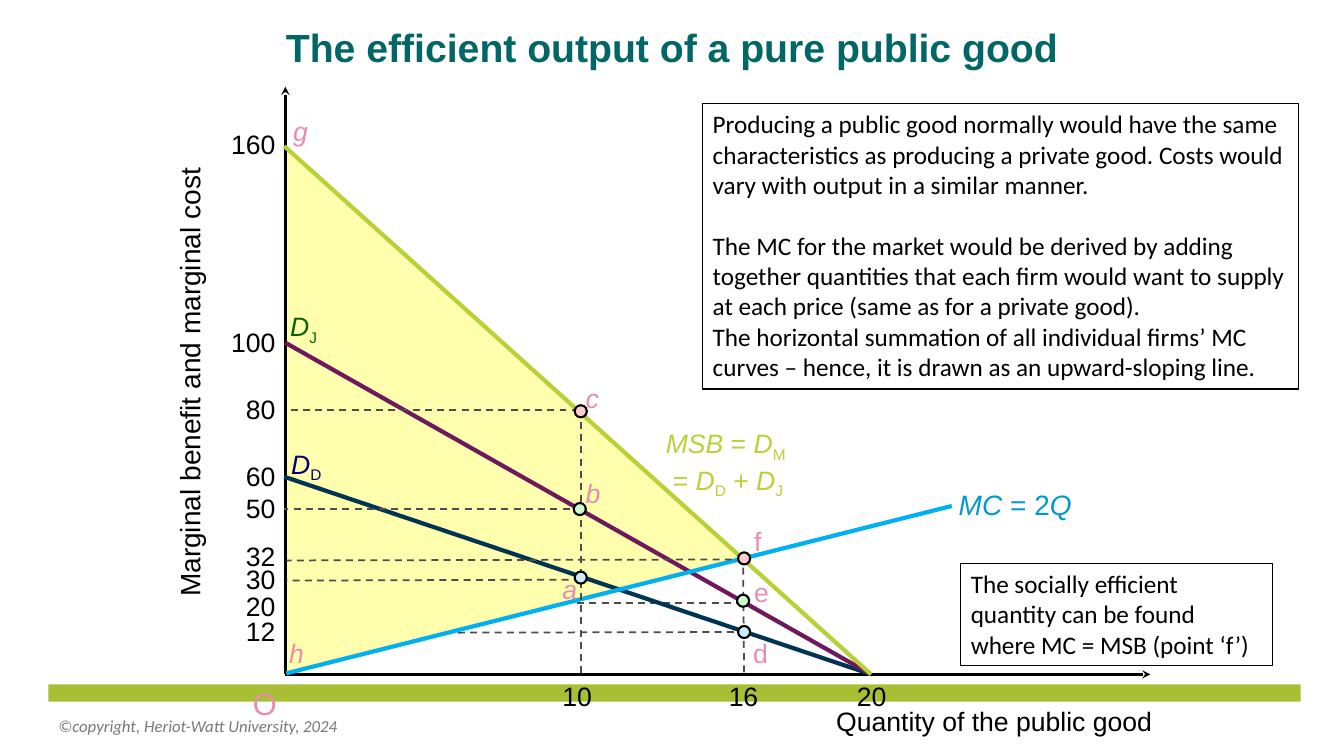
from lxml import etree
from pptx import Presentation
from pptx.dml.color import RGBColor
from pptx.enum.dml import MSO_LINE
from pptx.enum.shapes import MSO_CONNECTOR, MSO_SHAPE
from pptx.enum.text import MSO_ANCHOR, PP_ALIGN
from pptx.oxml.ns import qn
from pptx.util import Inches, Pt

STRAIGHT = MSO_CONNECTOR.STRAIGHT
RECTANGLE = MSO_SHAPE.RECTANGLE
OVAL = MSO_SHAPE.OVAL
DASH = MSO_LINE.DASH
LEFT, CENTER, RIGHT = PP_ALIGN.LEFT, PP_ALIGN.CENTER, PP_ALIGN.RIGHT
TOP, MIDDLE = MSO_ANCHOR.TOP, MSO_ANCHOR.MIDDLE

COLORS = {
    "band": "A8BF33", "footer": "797979", "title": "006666", "black": "000000",
    "white": "FFFFFF", "surplus": "FFFFAD", "guide": "4D4D4D", "point": "E88EAD",
    "msb": "B8D137", "demand_d": "003454", "demand_j": "6F185E", "cost": "00B0F0",
    "cost_label": "009AD0", "d_label": "000073", "j_label": "006600",
    "pink": "FFCCCC", "green": "CCFFCC", "blue": "CCECFF",
}
AXIS_X, AXIS_Y = 2.83, 6.69
DOT = 0.12
LABEL_HEIGHT = 0.42


def color(name):
    return RGBColor.from_string(COLORS[name])


def style_font(font, size, tint, face="Arial"):
    font.size = Pt(size)
    font.name = face
    font.color.rgb = color(tint)


def add_line(page, start, end, tint, width, dash=None, arrow=False):
    line = page.shapes.add_connector(STRAIGHT, *map(Inches, start + end))
    line.line.color.rgb = color(tint)
    line.line.width = Pt(width)
    if dash:
        line.line.dash_style = dash
    if arrow:
        etree.SubElement(line.line._get_or_add_ln(), qn("a:tailEnd"), type="stealth")
    etree.SubElement(line._element.spPr, qn("a:effectLst"))


def add_guides(page, guides):
    for start, end in guides:
        add_line(page, start, end, "guide", 1.25, DASH)


def add_block(page, kind, place, fill, outline=None, width=0.75):
    block = page.shapes.add_shape(kind, *map(Inches, place))
    block.shadow.inherit = False
    block.fill.solid()
    block.fill.fore_color.rgb = color(fill)
    if outline:
        block.line.color.rgb = color(outline)
        block.line.width = Pt(width)
    else:
        block.line.fill.background()
    return block


def add_area(page, corners, fill):
    builder = page.shapes.build_freeform(*map(Inches, corners[0]), scale=1.0)
    builder.add_line_segments([tuple(map(Inches, corner)) for corner in corners[1:]])
    area = builder.convert_to_shape()
    area.shadow.inherit = False
    area.fill.solid()
    area.fill.fore_color.rgb = color(fill)
    area.line.fill.background()


def add_text(page, place, pieces, tint, size=19, align=LEFT, wrap=False,
             anchor=TOP, face="Arial"):
    box = page.shapes.add_textbox(*map(Inches, place))
    box.text_frame.word_wrap = wrap
    box.text_frame.vertical_anchor = anchor
    para = box.text_frame.paragraphs[0]
    para.alignment = align
    for text, look in pieces:
        if text == "\n":
            para.add_line_break()
            continue
        span = para.add_run()
        span.text = text
        style_font(span.font, size, tint, face)
        span.font.italic = look == "italic"
        span.font.bold = look == "bold"
        if look == "sub":
            span._r.get_or_add_rPr().set("baseline", "-25000")
    return box


def add_title(page, text):
    box = add_text(page, (0, 0, 13.33, 0.92), [(text, "bold")], "title", 28,
                   CENTER, True, MIDDLE)
    fill = box.text_frame.paragraphs[0].runs[0]._r.rPr.find(qn("a:solidFill"))
    effects = etree.Element(qn("a:effectLst"))
    shadow = etree.SubElement(effects, qn("a:outerShdw"), dist="17961", dir="2700000")
    etree.SubElement(shadow, qn("a:srgbClr"), val=COLORS["black"])
    fill.addnext(effects)


def add_note(page, place, paragraphs):
    note = add_block(page, RECTANGLE, place, "white", "black")
    frame = note.text_frame
    frame.word_wrap = True
    frame.vertical_anchor = TOP
    frame.text = "\n".join(text for text, _ in paragraphs)
    for para, (_, gap) in zip(frame.paragraphs, paragraphs):
        para.alignment = LEFT
        para.space_before = Pt(gap)
        style_font(para.runs[0].font, 18, "black", "Calibri")


def add_ticks(page):
    for text, top in (("160", 1.22), ("100", 3.18), ("80", 3.85), ("60", 4.51),
                      ("50", 4.83), ("32", 5.31), ("30", 5.54), ("20", 5.8),
                      ("12", 6.05)):
        width = 0.64 if len(text) == 3 else 0.5
        add_text(page, (AXIS_X - width, top, width, LABEL_HEIGHT),
                 [(text, "plain")], "black", align=RIGHT)
    for text, left in (("10", 5.48), ("16", 7.13), ("20", 8.4)):
        add_text(page, (left, 6.7, 0.5, LABEL_HEIGHT), [(text, "plain")], "black")


def add_points(page):
    for x, y, fill in ((5.76, 4.08, "pink"), (5.75, 5.05, "green"),
                       (5.76, 5.73, "blue"), (7.38, 5.54, "pink"),
                       (7.37, 5.96, "green"), (7.38, 6.27, "blue")):
        add_block(page, OVAL, (x - DOT / 2, y - DOT / 2, DOT, DOT), fill, "black", 1.5)
    for text, left, top, look in (
            ("a", 5.48, 5.63, "italic"), ("b", 5.71, 4.68, "italic"),
            ("c", 5.71, 3.74, "italic"), ("d", 7.37, 6.27, "plain"),
            ("e", 7.38, 5.66, "plain"), ("f", 7.38, 5.16, "plain"),
            ("g", 2.81, 1.09, "italic"), ("h", 2.77, 6.27, "italic")):
        add_text(page, (left, top, 0.35, LABEL_HEIGHT), [(text, look)], "point")
    add_text(page, (2.41, 6.74, 0.44, 0.47), [("O", "plain")], "point", 22)


def add_curve_labels(page):
    demand_d = [("D", "italic"), ("D", "sub")]
    demand_j = [("D", "italic"), ("J", "sub")]
    add_text(page, (2.79, 4.39, 0.52, LABEL_HEIGHT), demand_d, "d_label")
    add_text(page, (2.78, 3.03, 0.48, LABEL_HEIGHT), demand_j, "j_label")
    add_text(page, (6.47, 4.19, 1.5, 0.74),
             [("MSB", "italic"), (" = ", "plain"), ("D", "italic"), ("M ", "sub"),
              ("\n", "plain"), ("= ", "plain"), *demand_d, (" + ", "plain"), *demand_j],
             "msb", align=CENTER)
    add_text(page, (9.41, 4.79, 1.32, 0.43),
             [("MC ", "italic"), ("= 2", "plain"), ("Q", "italic")], "cost_label", 20)


def add_diagram(page):
    add_guides(page, [((7.4, 6.27), (2.87, 6.28)), ((7.37, 5.98), (2.85, 5.98))])
    add_area(page, [(AXIS_X, 1.48), (7.41, 5.56), (2.85, 6.67)], "surplus")
    add_line(page, (AXIS_X, AXIS_Y), (AXIS_X, 0.86), "black", 2, arrow=True)
    add_line(page, (AXIS_X, AXIS_Y), (11.41, AXIS_Y), "black", 2, arrow=True)
    for start, end, tint in (((2.82, 4.73), (8.64, AXIS_Y), "demand_d"),
                             ((2.83, 3.4), (8.64, AXIS_Y), "demand_j"),
                             ((2.82, 1.45), (8.64, AXIS_Y), "msb"),
                             ((2.84, 6.68), (9.44, 5.02), "cost")):
        add_line(page, start, end, tint, 3)
    add_guides(page, [((5.76, 6.68), (5.76, 4.07)), ((7.38, 6.67), (7.37, 5.54)),
                      ((5.74, 4.07), (2.84, 4.07)), ((5.77, 5.05), (2.82, 5.05)),
                      ((7.38, 5.55), (2.84, 5.56)), ((5.76, 5.75), (2.84, 5.76))])
    add_ticks(page)
    add_points(page)
    add_curve_labels(page)
    add_text(page, (8.05, 6.94, 3.62, LABEL_HEIGHT),
             [("Quantity of the public good", "plain")], "black", align=CENTER, wrap=True)
    axis_title = add_text(page, (-0.36, 3.56, 4.48, 0.44),
                          [("Marginal benefit and marginal cost", "plain")], "black", 20)
    axis_title.rotation = 270


def main():
    deck = Presentation()
    deck.slide_width, deck.slide_height = Inches(13.33), Inches(7.5)
    page = deck.slides.add_slide(deck.slide_layouts[6])
    add_block(page, RECTANGLE, (0.48, 6.79, 12.42, 0.17), "band")
    add_text(page, (0.48, 7, 4.5, 0.4),
             [("©copyright, Heriot-Watt University, 2024", "italic")], "footer", 12,
             wrap=True, anchor=MIDDLE, face="Calibri")
    add_diagram(page)
    add_title(page, "The efficient output of a pure public good")
    add_note(page, (6.97, 1.03, 5.91, 2.83), [
        ("Producing a public good normally would have the same characteristics as "
         "producing a private good. Costs would vary with output in a similar manner.", 0),
        ("The MC for the market would be derived by adding together quantities that each "
         "firm would want to supply at each price (same as for a private good).", 22),
        ("The horizontal summation of all individual firms’ MC curves – hence, it is "
         "drawn as an upward-sloping line.", 0)])
    add_note(page, (9.53, 5.59, 3.09, 1.01), [
        ("The socially efficient quantity can be found where MC = MSB (point ‘f’)", 0)])
    deck.save("out.pptx")


if __name__ == "__main__":
    main()
